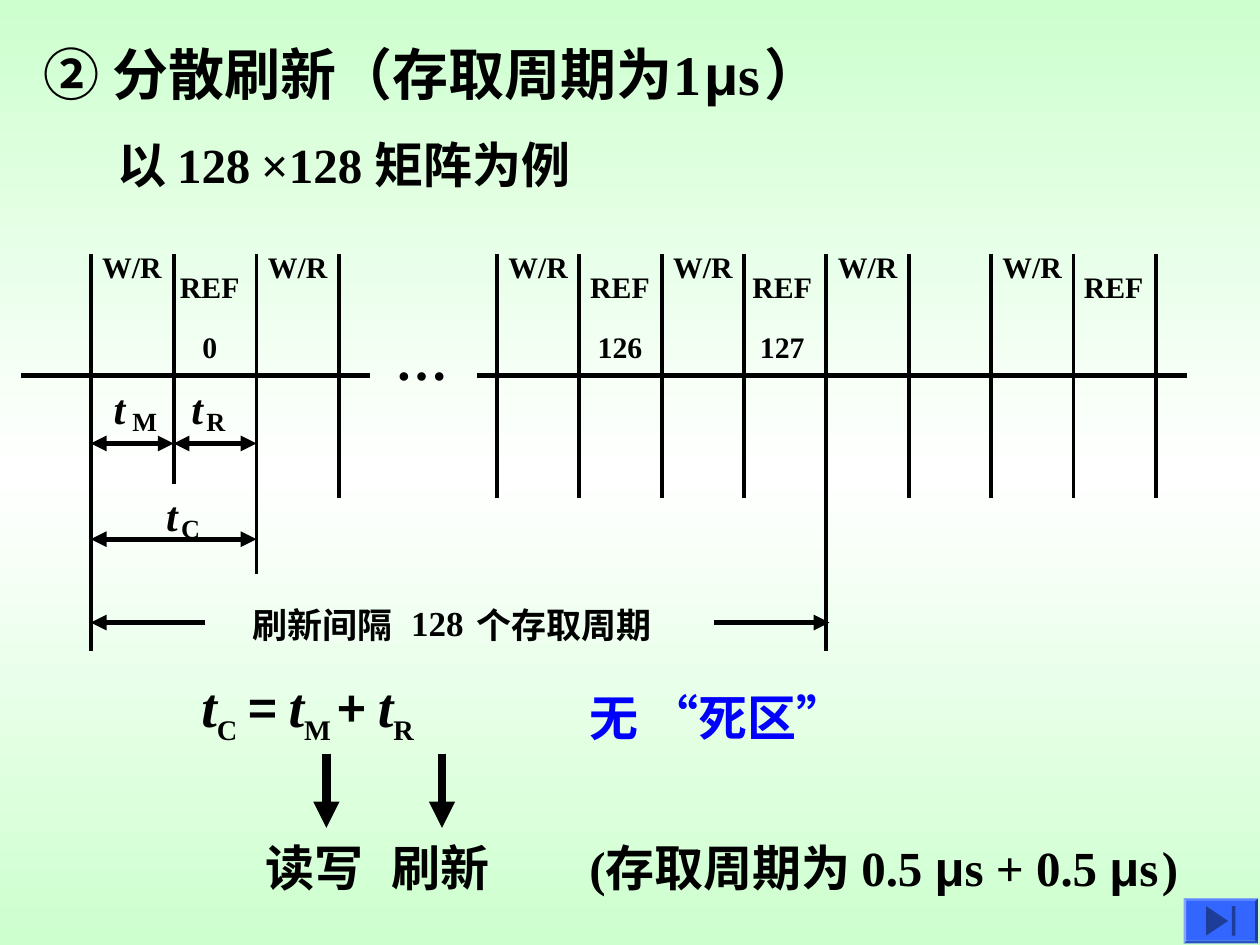
from copy import deepcopy
from dataclasses import dataclass

from lxml import etree
from pptx import Presentation
from pptx.dml.color import RGBColor
from pptx.enum.shapes import MSO_CONNECTOR, MSO_SHAPE
from pptx.enum.text import MSO_AUTO_SIZE, PP_ALIGN
from pptx.oxml.ns import qn
from pptx.util import Cm, Pt

STRAIGHT = MSO_CONNECTOR.STRAIGHT
BEVEL, END_BUTTON = MSO_SHAPE.BEVEL, MSO_SHAPE.ACTION_BUTTON_END
FIT_SHAPE = MSO_AUTO_SIZE.SHAPE_TO_FIT_TEXT
LEFT, CENTER = PP_ALIGN.LEFT, PP_ALIGN.CENTER


@dataclass(frozen=True)
class Theme:
    ink: RGBColor = RGBColor(0, 0, 0)
    accent: RGBColor = RGBColor(0, 0, 255)
    button: RGBColor = RGBColor(0x33, 0x66, 0xFF)
    edge: RGBColor = RGBColor(0xCD, 0xFF, 0xCE)
    middle: RGBColor = RGBColor(255, 255, 255)
    serif: str = "Times New Roman"
    sans: str = "Arial"
    chinese: str = "Noto Sans CJK SC"
    title: float = 32
    body: float = 28
    gap: float = 24
    thin_gap: float = 8
    dots: float = 30
    interval: float = 20
    label: float = 17
    symbol: float = 24
    subscript: float = 15
    tick_line: float = 2.25
    axis_line: float = 3
    pointer_line: float = 5


THEME = Theme()


def add_text(slide, box, runs, size, color=THEME.ink, font=THEME.serif,
             tight=False, align=LEFT, italic=False):
    shape = slide.shapes.add_textbox(*map(Cm, box))
    frame = shape.text_frame
    frame.word_wrap = not tight
    frame.auto_size = FIT_SHAPE
    if tight:
        frame.margin_left = frame.margin_right = 0
        frame.margin_top = frame.margin_bottom = 0
    paragraph = frame.paragraphs[0]
    paragraph.alignment = align
    paragraph.font.size = Pt(size)
    paragraph.font.name = font
    paragraph.font.bold = True
    paragraph.font.italic = italic
    paragraph.font.color.rgb = color
    defaults = paragraph._p.pPr.find(qn("a:defRPr"))
    etree.SubElement(defaults, qn("a:ea"), typeface=THEME.chinese)
    for text, style in [(runs, {})] if isinstance(runs, str) else runs:
        run = paragraph.add_run()
        run.text = text
        if "size" in style:
            run.font.size = Pt(style["size"])
        if "font" in style:
            run.font.name = style["font"]
        if "italic" in style:
            run.font.italic = style["italic"]
        if "baseline" in style:
            run.font._element.set("baseline", style["baseline"])


def add_line(slide, start, end, width, arrows=()):
    line = slide.shapes.add_connector(STRAIGHT, *map(Cm, (*start, *end)))
    line.line.color.rgb = THEME.ink
    line.line.width = Pt(width)
    outline = line.line._get_or_add_ln()
    for arrow in arrows:
        etree.SubElement(outline, qn(f"a:{arrow}"), type="triangle")
    etree.SubElement(line._element.spPr, qn("a:effectLst"))


def set_background(slide):
    fill = slide.background.fill
    fill.gradient()
    fill.gradient_angle = 90
    stop_list = slide.element.find(".//" + qn("a:gsLst"))
    stop_list.append(deepcopy(stop_list[0]))
    stops = zip(fill.gradient_stops, (0, 0.5, 1), (THEME.edge, THEME.middle, THEME.edge))
    for stop, position, color in stops:
        stop.position = position
        stop.color.rgb = color


def add_heading(slide, left, top):
    thin = {"size": THEME.thin_gap}
    add_text(slide, (left, top, 18.62, 1.63), [
        ("② 分散刷新（存取周期为1", {}), (" ", thin), ("μ", {"font": THEME.sans}),
        ("s", {}), (" ", thin), ("）", {})], THEME.title)
    add_text(slide, (left + 1.48, top + 1.92, 13.34, 1.45), [
        ("以 128", {}), (" ", {"size": THEME.gap}), ("×128 矩阵为例", {})], THEME.body)


def add_symbol(slide, left, top, subscript, offset, width):
    add_text(slide, (left, top, 0.23, 1.02), "t", THEME.symbol, tight=True, italic=True)
    add_text(slide, (left + offset, top + 0.46, width, 0.64), subscript,
             THEME.subscript, tight=True)


def add_cell_label(slide, left, top, text):
    add_text(slide, (left, top, 1.4, 0.71), text, THEME.label, tight=True, align=CENTER)


def add_timing_diagram(slide, left, top):
    early_pitch, late_pitch, tick_height, axis = 1.67, 1.66, 4.9, top + 2.44
    early = [left + 1.4 + early_pitch * index for index in range(4)]
    late = [left + 9.59 + late_pitch * index for index in range(9)]
    ticks = early + late
    heights = {0: 8, 1: 4.62, 2: 6.45, 8: 8}

    for start, end in ((0, 7.02), (9.18, 23.49)):
        add_line(slide, (left + start, axis), (left + end, axis), THEME.axis_line)
    for index, x in enumerate(ticks):
        bottom = top + heights.get(index, tick_height)
        add_line(slide, (x, top), (x, bottom), THEME.tick_line)

    for index in (0, 2, 4, 6, 8, 10):
        add_cell_label(slide, ticks[index] + 0.13, top - 0.12, "W/R")
    for index, inset, number in ((1, 0.03, "0"), (5, 0.12, "126"),
                                 (7, 0.07, "127"), (11, 0.11, "")):
        x = ticks[index] + inset
        add_cell_label(slide, x, top + 0.28, "REF")
        if number:
            add_cell_label(slide, x, top + 1.5, number)
    add_text(slide, (left + 7.29, top + 1.35, 2.21, 1.52), "…", THEME.dots)

    for x, y, subscript, offset, width in ((1.86, 2.59, "M", 0.38, 0.51),
                                           (3.43, 2.59, "R", 0.3, 0.38),
                                           (2.92, 4.74, "C", 0.3, 0.38)):
        add_symbol(slide, left + x, top + y, subscript, offset, width)
    for first, last, y in ((0, 1, 3.81), (1, 2, 3.81), (0, 2, 5.74)):
        add_line(slide, (ticks[first], top + y), (ticks[last], top + y),
                 THEME.axis_line, ("headEnd", "tailEnd"))

    interval = top + 7.42
    for start, end in ((early[0] + 2.31, early[0]), (late[4] - 2.26, late[4] + 0.06)):
        add_line(slide, (start, interval), (end, interval), THEME.axis_line, ("tailEnd",))
    for x, y, width, text, font in ((4.66, 7.03, 3.1, "刷新间隔", THEME.chinese),
                                    (7.86, 7, 1.2, "128", THEME.serif),
                                    (9.17, 7.03, 3.8, "个存取周期", THEME.chinese)):
        add_text(slide, (left + x, top + y, width, 0.84), text, THEME.interval,
                 font=font, tight=True)


def add_equation(slide, left, top):
    symbol = {"size": THEME.title, "italic": True}
    subscript = {"baseline": "-25000"}
    operator = {"font": THEME.chinese}
    add_text(slide, (left, top, 8.05, 1.75), [
        ("t", symbol), ("C", subscript), (" = ", operator),
        ("t", symbol), ("M ", subscript), ("+ ", operator),
        ("t", symbol), ("R", subscript)], THEME.body)
    for pointer, caption, text in ((2.77, 1.3, "读写"), (5.1, 3.84, "刷新")):
        add_line(slide, (left + pointer, top + 1.77), (left + pointer, top + 3.27),
                 THEME.pointer_line, ("tailEnd",))
        add_text(slide, (left + caption, top + 3.34, 3.18, 1.45), text, THEME.body)


def add_conclusion(slide, left, top):
    micro = ("μ", {"font": THEME.sans})
    add_text(slide, (left, top, 8.05, 1.45), "无 “死区”", THEME.body, THEME.accent)
    add_text(slide, (left, top + 3.02, 13.77, 1.45), [
        ("(存取周期为 0.5 ", {}), micro, ("s + 0.5 ", {}), micro, ("s", {}),
        (" ", {"size": THEME.thin_gap}), (")", {})], THEME.body)


def add_end_button(slide, left, top):
    width, height, rim = 1.5, 0.91, 0.06
    for preset, inset in ((BEVEL, 0), (END_BUTTON, rim)):
        box = (left + inset, top + inset, width - 2 * inset, height - 2 * inset)
        button = slide.shapes.add_shape(preset, *map(Cm, box))
        button.shadow.inherit = False
        button.fill.solid()
        button.fill.fore_color.rgb = THEME.button
        button.line.fill.background()
        if preset == BEVEL:
            button.adjustments[0] = rim / height


def main():
    presentation = Presentation()
    presentation.slide_width = Cm(25.4)
    presentation.slide_height = Cm(19.05)
    slide = presentation.slides.add_slide(presentation.slide_layouts[6])
    set_background(slide)
    add_equation(slide, 3.81, 13.42)
    add_conclusion(slide, 11.63, 13.74)
    add_heading(slide, 0.63, 0.67)
    add_end_button(slide, 23.86, 18.11)
    add_timing_diagram(slide, 0.43, 5.13)
    presentation.save("out.pptx")


if __name__ == "__main__":
    main()
